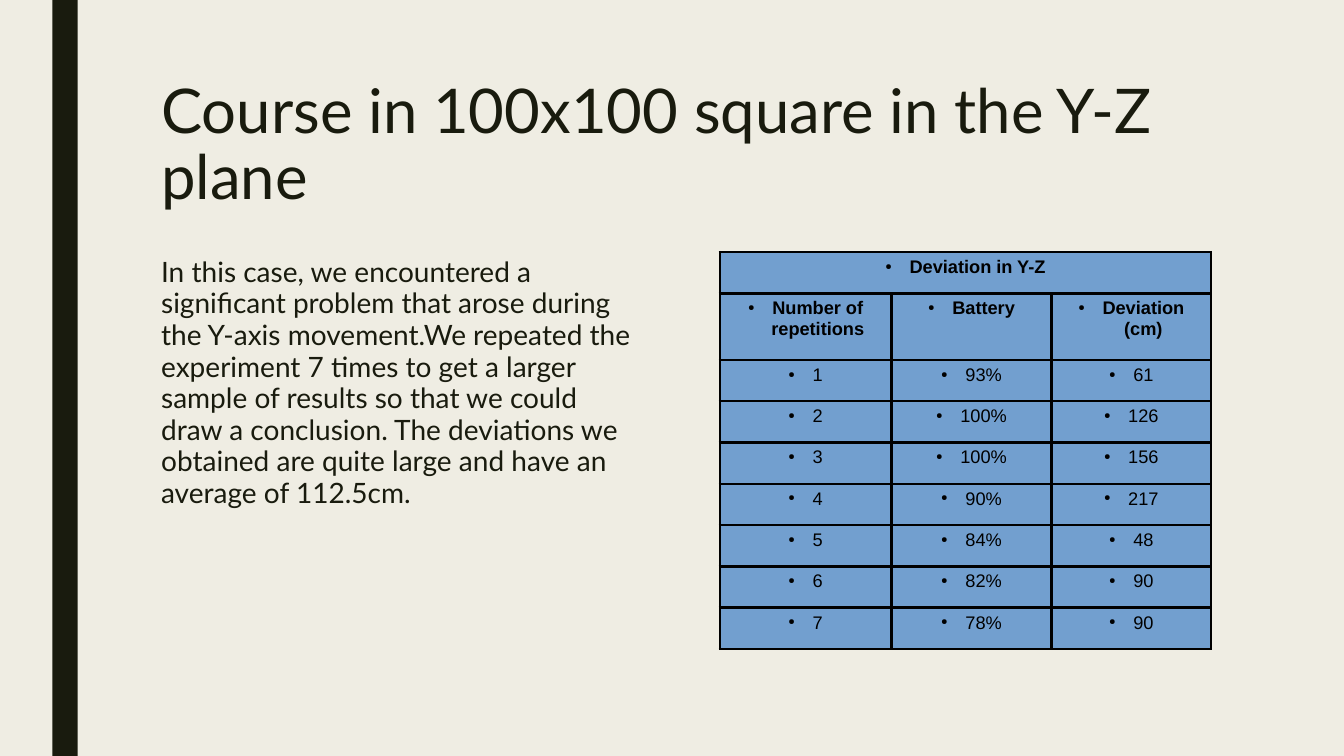
from dataclasses import dataclass

from lxml.etree import SubElement as Sub
from pptx import Presentation
from pptx.dml.color import RGBColor as Rgb
from pptx.enum.shapes import MSO_SHAPE as Shape
from pptx.enum.text import MSO_ANCHOR as Anchor, MSO_AUTO_SIZE as Fit, PP_ALIGN as Align
from pptx.oxml.ns import qn
from pptx.util import Inches, Pt


@dataclass(frozen=True)
class Theme:
    paper: str = "EFEDE3"
    ink: str = "191B0E"
    cell: str = "729FCF"
    line: str = "000000"
    font: str = "Lato"
    grid: str = "Arial"
    title: int = 44
    body: int = 20
    table: int = 13
    rule: float = 1.98


THEME = Theme()

TITLE = "Course in 100x100 square in the Y-Z plane"
BODY = (
    "In this case, we encountered a significant problem that arose during "
    "the Y-axis movement.We repeated the experiment 7 times to get a larger "
    "sample of results so that we could draw a conclusion. The deviations we "
    "obtained are quite large and have an average of 112.5cm."
)
CAPTION = "Deviation in Y-Z"
HEADS = ["Number of repetitions", "Battery", "Deviation (cm)"]
TRIALS = [(93, 61), (100, 126), (100, 156), (90, 217), (84, 48), (82, 90), (78, 90)]


def style(font, name, size, color, bold=False):
    font.name, font.size, font.bold = name, Pt(size), bold
    font.color.rgb = Rgb.from_string(color)


def place(shape, box):
    shape.left, shape.top, shape.width, shape.height = map(Inches, box)


def write(shape, text, size, space):
    frame = shape.text_frame
    frame.text = text
    frame.word_wrap = True
    frame.auto_size = Fit.NONE
    frame.vertical_anchor = Anchor.TOP
    para = frame.paragraphs[0]
    para.alignment = Align.LEFT
    para.line_spacing = space
    style(para.runs[0].font, THEME.font, size, THEME.ink)


# Side band
def add_band(slide, box):
    band = slide.shapes.add_shape(Shape.RECTANGLE, *map(Inches, box))
    band.shadow.inherit = False
    band.fill.solid()
    band.fill.fore_color.rgb = Rgb.from_string(THEME.ink)
    band.line.fill.background()


# Heading
def add_title(slide, box):
    title = slide.shapes.title
    place(title, box)
    write(title, TITLE, THEME.title, 0.89)


# Explanation
def add_body(slide, box):
    note = slide.shapes.add_textbox(*map(Inches, box))
    write(note, BODY, THEME.body, 0.94)


# Cell parts that need XML
def add_rules(cell):
    props = cell._tc.get_or_add_tcPr()
    for side in ("a:lnL", "a:lnR", "a:lnT", "a:lnB"):
        edge = Sub(props, qn(side), w=str(Pt(THEME.rule)))
        fill = Sub(edge, qn("a:solidFill"))
        Sub(fill, qn("a:srgbClr"), val=THEME.line)


def add_bullet(para):
    props = para._p.get_or_add_pPr()
    indent = Inches(0.24)
    props.set("marL", str(indent))
    props.set("indent", str(-indent))
    color = Sub(props, qn("a:buClr"))
    Sub(color, qn("a:srgbClr"), val=THEME.line)
    Sub(props, qn("a:buSzPct"), val="45000")
    Sub(props, qn("a:buChar"), char="●")


def fill_cell(cell, text, bold):
    add_rules(cell)
    cell.fill.solid()
    cell.fill.fore_color.rgb = Rgb.from_string(THEME.cell)
    cell.margin_left = cell.margin_right = Inches(0.06)
    cell.margin_top = cell.margin_bottom = Inches(0.05)
    cell.vertical_anchor = Anchor.TOP
    if text:
        para = cell.text_frame.paragraphs[0]
        para.text = text
        para.alignment = Align.CENTER
        add_bullet(para)
        style(para.runs[0].font, THEME.grid, THEME.table, THEME.line, bold)


# Results table
def add_results(slide, box):
    trials = [[str(n), f"{power}%", str(gap)] for n, (power, gap) in enumerate(TRIALS, 1)]
    rows = [[CAPTION, "", ""], HEADS, *trials]
    table = slide.shapes.add_table(len(rows), len(HEADS), *map(Inches, box)).table
    for col, width in zip(table.columns, (1.7, 1.59, 1.58)):
        col.width = Inches(width)
    for r, texts in enumerate(rows):
        table.rows[r].height = Inches(0.66 if r == 1 else 0.41)
        for c, text in enumerate(texts):
            fill_cell(table.cell(r, c), text, r < 2)
    table.cell(0, 0).merge(table.cell(0, len(HEADS) - 1))


def add_slide(deck):
    slide = deck.slides.add_slide(deck.slide_layouts[5])
    back = slide.background.fill
    back.solid()
    back.fore_color.rgb = Rgb.from_string(THEME.paper)
    left, right, top, width = 1.5, 12, 2.5, 4.86
    add_band(slide, (0.52, 0, 0.25, 7.5))
    add_title(slide, (left, 0.75, right - left, 1.63))
    add_body(slide, (left, top, width, 3.92))
    add_results(slide, (right - width, top, width, 3.92))


def main():
    deck = Presentation()
    deck.slide_width, deck.slide_height = Inches(13.33), Inches(7.5)
    add_slide(deck)
    deck.save("out.pptx")


if __name__ == "__main__":
    main()
